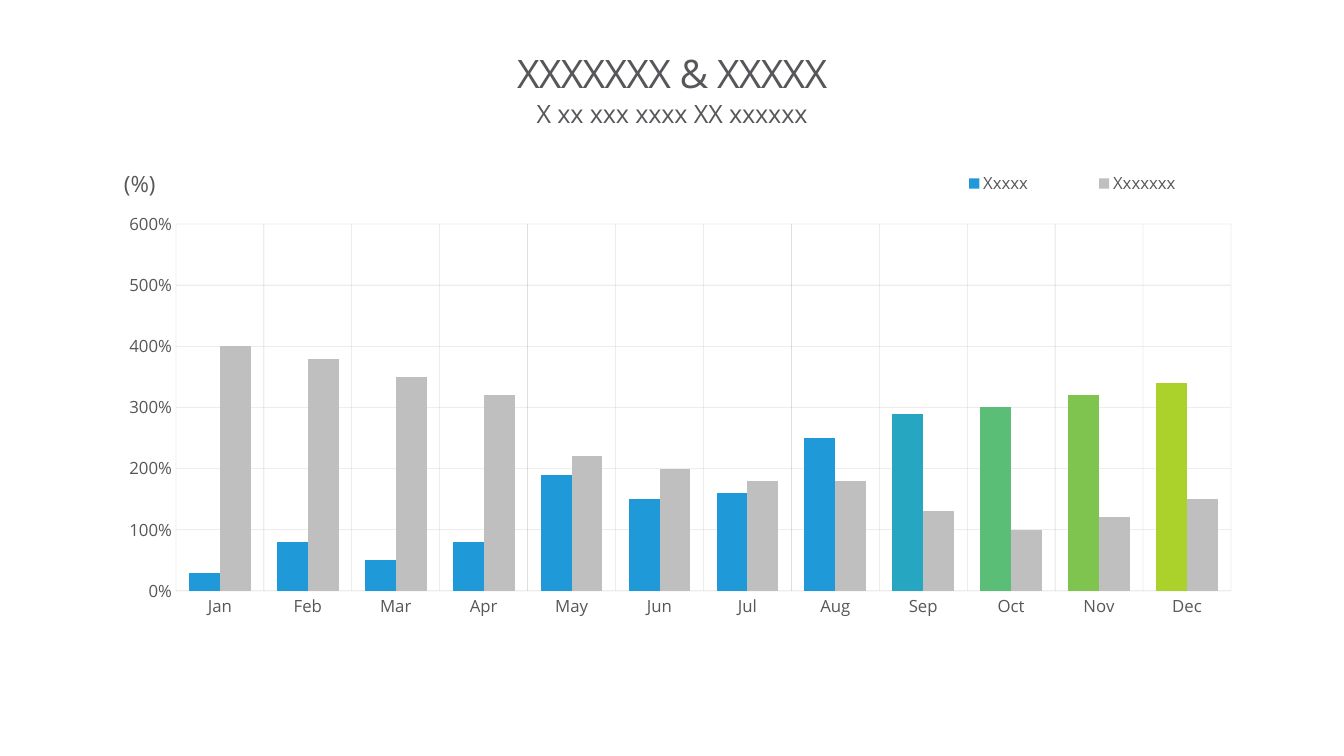
"""Build a slide with a monthly clustered column chart of two series."""
from lxml.etree import SubElement
from pptx import Presentation
from pptx.chart.data import CategoryChartData
from pptx.dml.color import RGBColor
from pptx.enum.chart import XL_CHART_TYPE, XL_LEGEND_POSITION, XL_TICK_MARK
from pptx.enum.text import MSO_ANCHOR, PP_ALIGN
from pptx.oxml import parse_xml
from pptx.oxml.ns import nsdecls, qn
from pptx.util import Emu, Pt

COLORS = {"text": "57565A", "grid": "9A999D", "blue": "2099D8", "gray": "BFBFBF",
          "teal": "27A6C2", "green": "5BBE77", "leaf": "7EC44E", "lime": "ABD22A"}
FONT = "Open Sans"
SLIDE = (1344, 756)
CHART = (101, 160, 1142, 510)
PLOT = (75, 64, 1055, 367)
LEGEND = (803, 10, 337, 27)
MONTHS = ["Jan", "Feb", "Mar", "Apr", "May", "Jun",
          "Jul", "Aug", "Sep", "Oct", "Nov", "Dec"]
SERIES = [
    ("Xxxxx", "blue", [30, 80, 50, 80, 190, 150, 160, 250, 290, 300, 320, 340]),
    ("Xxxxxxx", "gray", [400, 380, 350, 320, 220, 200, 180, 180, 130, 100, 120, 150]),
]
HIGHLIGHTS = {"Sep": "teal", "Oct": "green", "Nov": "leaf", "Dec": "lime"}
TEXTS = [
    {"text": "XXXXXXX & XXXXX", "at": (101, 31, 1142, 90), "size": 28, "spacing": -50,
     "frame": {"word_wrap": True, "vertical_anchor": MSO_ANCHOR.MIDDLE},
     "para": {"alignment": PP_ALIGN.CENTER, "line_spacing": 0.86}},
    {"text": "X xx xxx xxxx XX xxxxxx", "at": (101, 103, 1142, 44), "size": 18, "spacing": -10,
     "frame": {"word_wrap": True, "vertical_anchor": MSO_ANCHOR.TOP},
     "para": {"alignment": PP_ALIGN.CENTER, "line_spacing": 0.86}},
    {"text": "(%)", "at": (124, 170, 32, 27), "size": 16, "spacing": 0,
     "frame": {"word_wrap": False, "vertical_anchor": MSO_ANCHOR.TOP},
     "para": {"alignment": PP_ALIGN.LEFT}},
]


def px(length):
    return Emu(round(length * 914400 / 100.8))


def color(name):
    return RGBColor.from_string(COLORS[name])


def assign(target, values):
    for name, value in values.items():
        setattr(target, name, value)


def style_font(font, size):
    assign(font, {"name": FONT, "size": Pt(size), "bold": False})
    font.color.rgb = color("text")


def fill(part, name):
    part.format.fill.solid()
    part.format.fill.fore_color.rgb = color(name)


def layout_xml(area, inner=False):
    target = '<c:layoutTarget val="inner"/>' if inner else ""
    modes = '<c:xMode val="edge"/><c:yMode val="edge"/>'
    sides = "".join(f'<c:{side} val="{length / whole}"/>'
                    for side, length, whole in zip("xywh", area, CHART[2:] * 2))
    return parse_xml(f'<c:layout {nsdecls("c")}><c:manualLayout>{target}{modes}{sides}'
                     "</c:manualLayout></c:layout>")


def place(element, layout, index):
    for old in element.findall(qn("c:layout")):
        element.remove(old)
    element.insert(index, layout)


def style_axis(axis):
    assign(axis, {"major_tick_mark": XL_TICK_MARK.NONE, "minor_tick_mark": XL_TICK_MARK.NONE,
                  "has_major_gridlines": True})
    axis.format.line.fill.background()
    style_font(axis.tick_labels.font, 12)
    line = axis.major_gridlines.format.line
    line.width = Pt(0.25)
    line.color.rgb = color("grid")
    for tint in axis.major_gridlines._xAx.iter(qn("a:srgbClr")):
        if tint.get("val") == COLORS["grid"]:
            SubElement(tint, qn("a:alpha"), val="50000")


def add_text(page, item):
    box = page.shapes.add_textbox(*map(px, item["at"]))
    frame = box.text_frame
    assign(frame, dict.fromkeys(("margin_left", "margin_top", "margin_right", "margin_bottom"), 0))
    assign(frame, item["frame"])
    para = frame.paragraphs[0]
    assign(para, item["para"])
    span = para.add_run()
    span.text = item["text"]
    style_font(span.font, item["size"])
    if item["spacing"]:
        span.font._element.set("spc", str(item["spacing"]))


def add_columns(page):
    data = CategoryChartData(number_format="General")
    data.categories = MONTHS
    for name, _, values in SERIES:
        data.add_series(name, values)
    chart = page.shapes.add_chart(XL_CHART_TYPE.COLUMN_CLUSTERED, *map(px, CHART), data).chart
    assign(chart, {"has_title": False, "has_legend": True})
    style_font(chart.font, 12)
    plot = chart.plots[0]
    assign(plot, {"gap_width": 85, "overlap": 0, "vary_by_categories": False})
    for series, (_, tint, _) in zip(plot.series, SERIES):
        fill(series, tint)
    for month, tint in HIGHLIGHTS.items():
        fill(plot.series[0].points[MONTHS.index(month)], tint)
    style_axis(chart.category_axis)
    style_axis(chart.value_axis)
    assign(chart.value_axis, {"minimum_scale": 0, "maximum_scale": 600, "major_unit": 100})
    assign(chart.value_axis.tick_labels, {"number_format": '0"%"', "number_format_is_linked": False})
    assign(chart.legend, {"position": XL_LEGEND_POSITION.LEFT, "include_in_layout": True})
    style_font(chart.legend.font, 12)
    place(chart.legend._element, layout_xml(LEGEND), 1)
    place(chart._chartSpace.chart.plotArea, layout_xml(PLOT, inner=True), 0)


def main():
    deck = Presentation()
    deck.slide_width, deck.slide_height = map(px, SLIDE)
    page = deck.slides.add_slide(deck.slide_layouts[6])
    add_columns(page)
    for item in TEXTS:
        add_text(page, item)
    deck.save("out.pptx")


if __name__ == "__main__":
    main()
